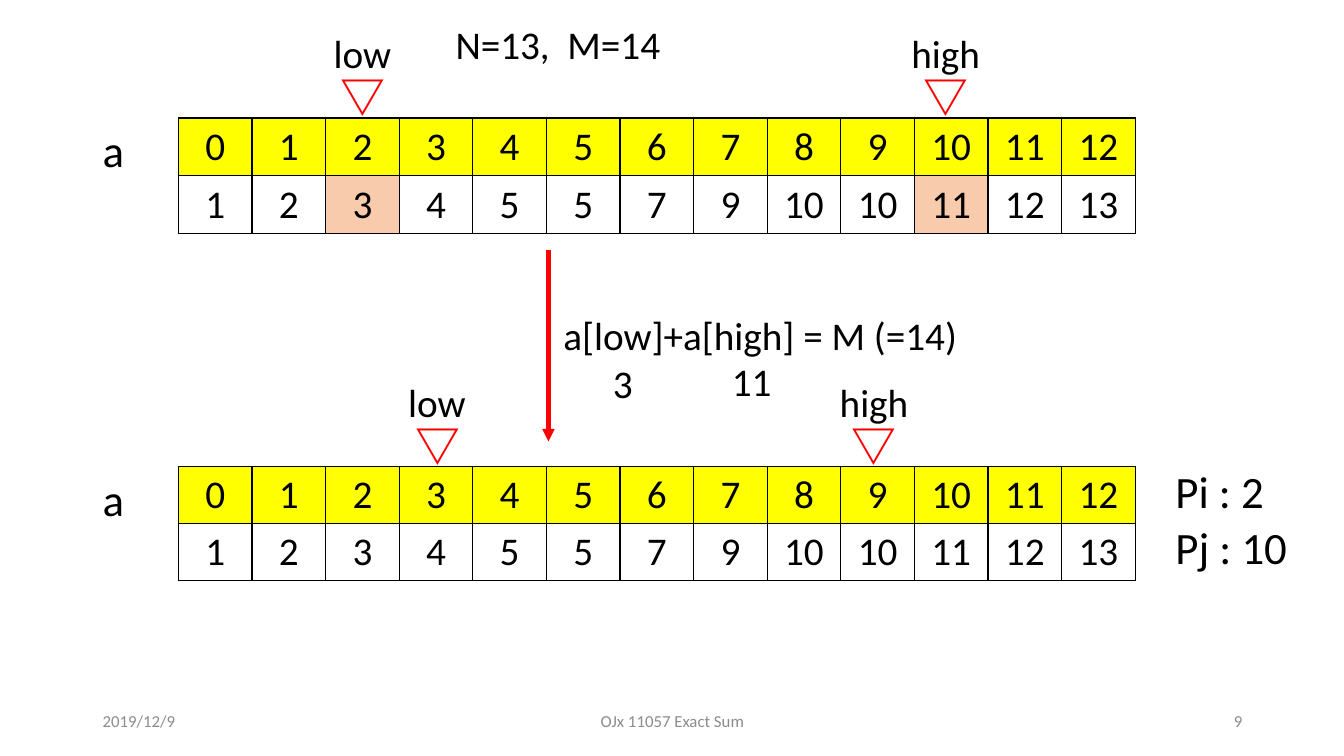
from lxml.etree import SubElement
from pptx import Presentation
from pptx.dml.color import RGBColor
from pptx.enum.shapes import MSO_CONNECTOR
from pptx.enum.text import MSO_ANCHOR, PP_ALIGN
from pptx.oxml.ns import qn
from pptx.util import Inches, Pt

INDICES = range(13)
VALUES = [1, 2, 3, 4, 5, 5, 7, 9, 10, 10, 11, 12, 13]
YELLOW, PEACH, WHITE, RED, BLACK, GRAY = "FFFF00", "F8CBAD", "FFFFFF", "FF0000", "000000", "8C8C8C"


def color(value):
    """Turn a hex string into a colour."""
    return RGBColor.from_string(value)


def write(tf, text, size=28, fill=BLACK, font="Calibri", bold=False,
          align=PP_ALIGN.LEFT, anchor=MSO_ANCHOR.TOP):
    """Write one formatted line into a text frame."""
    tf.word_wrap = True
    tf.vertical_anchor = anchor
    p = tf.paragraphs[0]
    p.alignment = align
    r = p.add_run()
    r.text = text
    r.font.size = Pt(size)
    r.font.name = font
    r.font.bold = bold
    r.font.color.rgb = color(fill)
    SubElement(r.font._element, qn("a:ea")).set("typeface", font)


def add_text(s, text, x, y, w, h=0.57, **fmt):
    """Add a text box at the given place."""
    write(s.shapes.add_textbox(Inches(x), Inches(y), Inches(w), Inches(h)).text_frame, text, **fmt)


def add_borders(cell):
    """Draw a thin black line on each side of a cell."""
    tc_pr = cell._tc.get_or_add_tcPr()
    for i, side in enumerate(("a:lnL", "a:lnR", "a:lnT", "a:lnB")):
        ln = tc_pr.makeelement(qn(side), {"w": str(Pt(1))})
        SubElement(SubElement(ln, qn("a:solidFill")), qn("a:srgbClr")).set("val", BLACK)
        tc_pr.insert(i, ln)


def add_array(s, x, y, w, h, low_x, high_x, marked=()):
    """Add the array table with its name and its low and high pointers."""
    table = s.shapes.add_table(2, len(VALUES), Inches(x), Inches(y), Inches(w), Inches(h)).table
    for col in table.columns:
        col.width = Inches(w / len(VALUES))
    for row, (cells, numbers) in enumerate(zip(table.rows, (INDICES, VALUES))):
        cells.height = Inches(h / 2)
        for i, (cell, number) in enumerate(zip(cells.cells, numbers)):
            cell.margin_top = cell.margin_bottom = Inches(0.04)
            cell.vertical_anchor = MSO_ANCHOR.MIDDLE
            write(cell.text_frame, str(number), align=PP_ALIGN.CENTER, anchor=None)
            cell.fill.solid()
            cell.fill.fore_color.rgb = color(YELLOW if row == 0 else PEACH if i in marked else WHITE)
            add_borders(cell)
    add_text(s, "a", x - 0.85, y, 0.4, 0.64, size=32)
    for label, left, shift, width in (("low", low_x, 0.07, 0.79), ("high", high_x, 0.12, 0.95)):
        add_text(s, "▽", left, y - 0.54, 0.71, 0.64, size=32, fill=RED,
                 font="Noto Sans CJK TC", bold=True)
        add_text(s, label, left - shift, y - 0.93, width)


def add_step(s, x, y, h):
    """Add the downward arrow and the sum that explains the step."""
    arrow = s.shapes.add_connector(MSO_CONNECTOR.STRAIGHT, Inches(x), Inches(y), Inches(x), Inches(y + h))
    arrow.line.color.rgb = color(RED)
    arrow.line.width = Pt(3)
    SubElement(arrow.line._get_or_add_ln(), qn("a:tailEnd")).set("type", "triangle")
    SubElement(arrow._element.spPr, qn("a:effectLst"))
    add_text(s, "a[low]+a[high] = M (=14)", x + 0.05, y + 0.56, 4.37)
    add_text(s, "3", x + 0.54, y + 1.04, 0.48)
    add_text(s, "11", x + 1.72, y + 1.02, 0.64)


def add_result(s, x, y):
    """Add the two positions found."""
    add_text(s, "Pi : 2", x, y, 1.29, 0.64, size=32)
    add_text(s, "Pj : 10", x, y + 0.56, 1.52, 0.64, size=32)


def add_footer(s, y, h):
    """Add the date, the title and the slide number."""
    for text, x, w, align in (("2019/12/9", 0.92, 3, PP_ALIGN.LEFT),
                              ("OJx 11057 Exact Sum", 4.42, 4.5, PP_ALIGN.CENTER),
                              ("9", 9.42, 3, PP_ALIGN.RIGHT)):
        add_text(s, text, x, y, w, h, size=12, fill=GRAY, align=align, anchor=MSO_ANCHOR.MIDDLE)


def main():
    """Build the slide and save it."""
    prs = Presentation()
    prs.slide_width, prs.slide_height = Inches(13.33), Inches(7.5)
    s = prs.slides.add_slide(prs.slide_layouts[6])
    add_footer(s, 6.95, 0.4)
    add_text(s, "N=13,  M=14", 4.42, 0.15, 2.37)
    add_array(s, 1.77, 1.17, 9.49, 1.15, low_x=3.28, high_x=9.06, marked=(2, 10))
    add_step(s, 5.44, 2.48, 1.9)
    add_array(s, 1.77, 4.63, 9.49, 1.13, low_x=4.02, high_x=8.35)
    add_result(s, 11.56, 4.55)
    prs.save("out.pptx")


if __name__ == "__main__":
    main()
